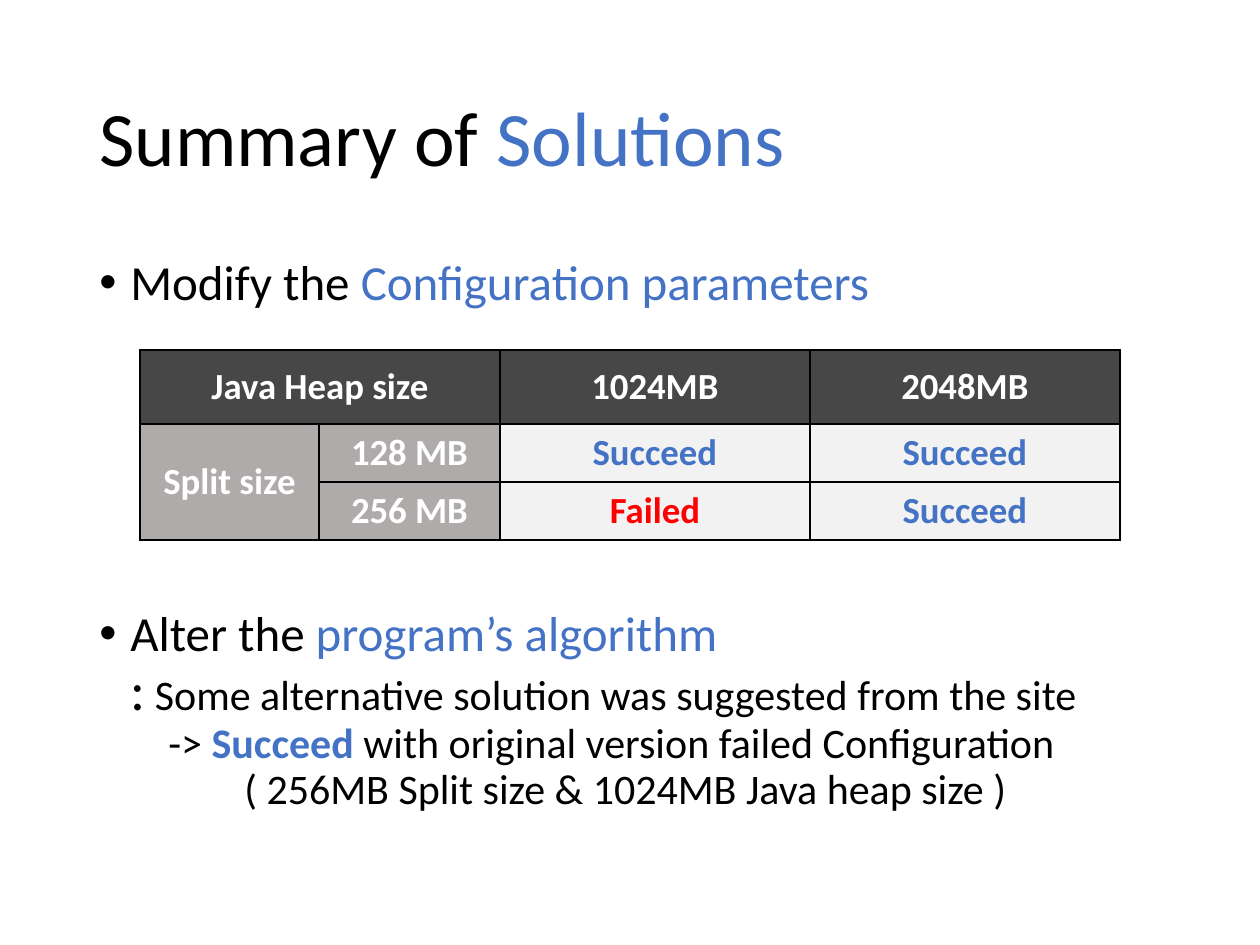
from dataclasses import dataclass

from lxml.etree import SubElement
from pptx import Presentation
from pptx.dml.color import RGBColor as RGB
from pptx.enum.text import MSO_ANCHOR as ANCHOR, PP_ALIGN as ALIGN
from pptx.oxml import parse_xml
from pptx.oxml.ns import nsdecls, qn
from pptx.util import Emu, Pt


@dataclass(frozen=True)
class Theme:
    font: str = "Calibri"
    black: str = "000000"
    white: str = "FFFFFF"
    blue: str = "4472C4"
    red: str = "FF0000"
    side: str = "AFABAB"
    body: str = "F2F2F2"
    header_alpha: int = 72
    title_pt: int = 44
    bullet_pt: int = 28
    colon_pt: int = 32
    detail_pt: int = 24
    cell_pt: int = 21


T = Theme()


@dataclass(frozen=True)
class Run:
    text: str
    size: int
    color: str = T.black
    bold: bool = False


@dataclass(frozen=True)
class Line:
    runs: tuple[Run, ...]
    indent: int = 0
    bullet: bool = False


@dataclass(frozen=True)
class Cell:
    row: int
    col: int
    text: str
    fill: str
    color: str = T.white
    alpha: int = 100
    rows: int = 1
    cols: int = 1


def px(n: int) -> Emu:
    return Emu(round(n * 914400 / 126))


def add_run(p, run: Run) -> None:
    r = p.add_run()
    r.text = run.text
    r.font.name, r.font.size, r.font.bold = T.font, Pt(run.size), run.bold
    r.font.color.rgb = RGB.from_string(run.color)


def add_text(slide, x: int, y: int, w: int, h: int, lines: list[Line],
             anchor=ANCHOR.TOP) -> None:
    tf = slide.shapes.add_textbox(px(x), px(y), px(w), px(h)).text_frame
    tf.word_wrap = True
    tf.vertical_anchor = anchor
    for i, line in enumerate(lines):
        p = tf.paragraphs[0] if i == 0 else tf.add_paragraph()
        p.line_spacing = 0.9
        pPr = p._p.get_or_add_pPr()
        pPr.set("marL", str(px(line.indent)))
        if line.bullet:
            pPr.set("indent", str(-px(line.indent)))
            SubElement(pPr, qn("a:buFont")).set("typeface", "Arial")
            SubElement(pPr, qn("a:buChar")).set("char", "•")
        for run in line.runs:
            add_run(p, run)


def style_cell(cell, fill: str, alpha: int) -> None:
    """Fill the cell and give it a thin black border on every side."""
    cell.fill.solid()
    cell.fill.fore_color.rgb = RGB.from_string(fill)
    tcPr = cell._tc.get_or_add_tcPr()
    if alpha < 100:
        color = tcPr.find(qn("a:solidFill")).find(qn("a:srgbClr"))
        SubElement(color, qn("a:alpha")).set("val", str(alpha * 1000))
    for i, side in enumerate("LRTB"):
        tcPr.insert(i, parse_xml(
            f'<a:ln{side} {nsdecls("a")} w="{Pt(1)}"><a:solidFill>'
            f'<a:srgbClr val="{T.black}"/></a:solidFill></a:ln{side}>'))


def add_grid(slide, x: int, y: int, widths: list[int], heights: list[int],
             cells: list[Cell]) -> None:
    table = slide.shapes.add_table(len(heights), len(widths), px(x), px(y),
                                   px(sum(widths)), px(sum(heights))).table
    for col, w in zip(table.columns, widths):
        col.width = px(w)
    for row, h in zip(table.rows, heights):
        row.height = px(h)
    for c in cells:
        cell = table.cell(c.row, c.col)
        for i in range(c.row, c.row + c.rows):
            for j in range(c.col, c.col + c.cols):
                style_cell(table.cell(i, j), c.fill, c.alpha)
        if c.rows * c.cols > 1:
            cell.merge(table.cell(c.row + c.rows - 1, c.col + c.cols - 1))
        cell.vertical_anchor = ANCHOR.MIDDLE
        p = cell.text_frame.paragraphs[0]
        p.alignment = ALIGN.CENTER
        add_run(p, Run(c.text, T.cell_pt, c.color, True))


def header(col: int, text: str, cols: int = 1) -> Cell:
    return Cell(0, col, text, T.black, alpha=T.header_alpha, cols=cols)


def result(row: int, col: int, succeeded: bool) -> Cell:
    text, color = ("Succeed", T.blue) if succeeded else ("Failed", T.red)
    return Cell(row, col, text, T.body, color)


def bullet(lead: str, topic: str) -> Line:
    return Line((Run(lead, T.bullet_pt), Run(topic, T.bullet_pt, T.blue)), 31, True)


TITLE = [Line((Run("Summary of ", T.title_pt), Run("Solutions", T.title_pt, T.blue)))]
MODIFY = [bullet("Modify the ", "Configuration parameters")]
ALTER = [
    bullet("Alter the ", "program’s algorithm"),
    Line((Run(":", T.colon_pt),
          Run(" Some alternative solution was suggested from the site", T.detail_pt)), 31),
    Line((Run("-> ", T.detail_pt),
          Run("Succeed", T.detail_pt, T.blue, True),
          Run(" with original version failed Configuration", T.detail_pt)), 69),
    Line((Run("( 256MB Split size & 1024MB Java heap size )", T.detail_pt),), 145),
]
OUTCOMES = [
    header(0, "Java Heap size", cols=2),
    header(2, "1024MB"),
    header(3, "2048MB"),
    Cell(1, 0, "Split size", T.side, rows=2),
    Cell(1, 1, "128 MB", T.side),
    result(1, 2, True),
    result(1, 3, True),
    Cell(2, 1, "256 MB", T.side),
    result(2, 2, False),
    result(2, 3, True),
]


def main() -> None:
    prs = Presentation()
    prs.slide_width, prs.slide_height = px(1260), px(945)
    slide = prs.slides.add_slide(prs.slide_layouts[6])
    left, width = 87, 1086
    add_text(slide, left, 50, width, 183, TITLE, ANCHOR.MIDDLE)
    add_text(slide, left, 252, width, 66, MODIFY)
    add_text(slide, left, 603, width, 249, ALTER)
    add_grid(slide, 140, 350, [179, 181, 310, 310], [74, 58, 58], OUTCOMES)
    prs.save("out.pptx")


if __name__ == "__main__":
    main()
